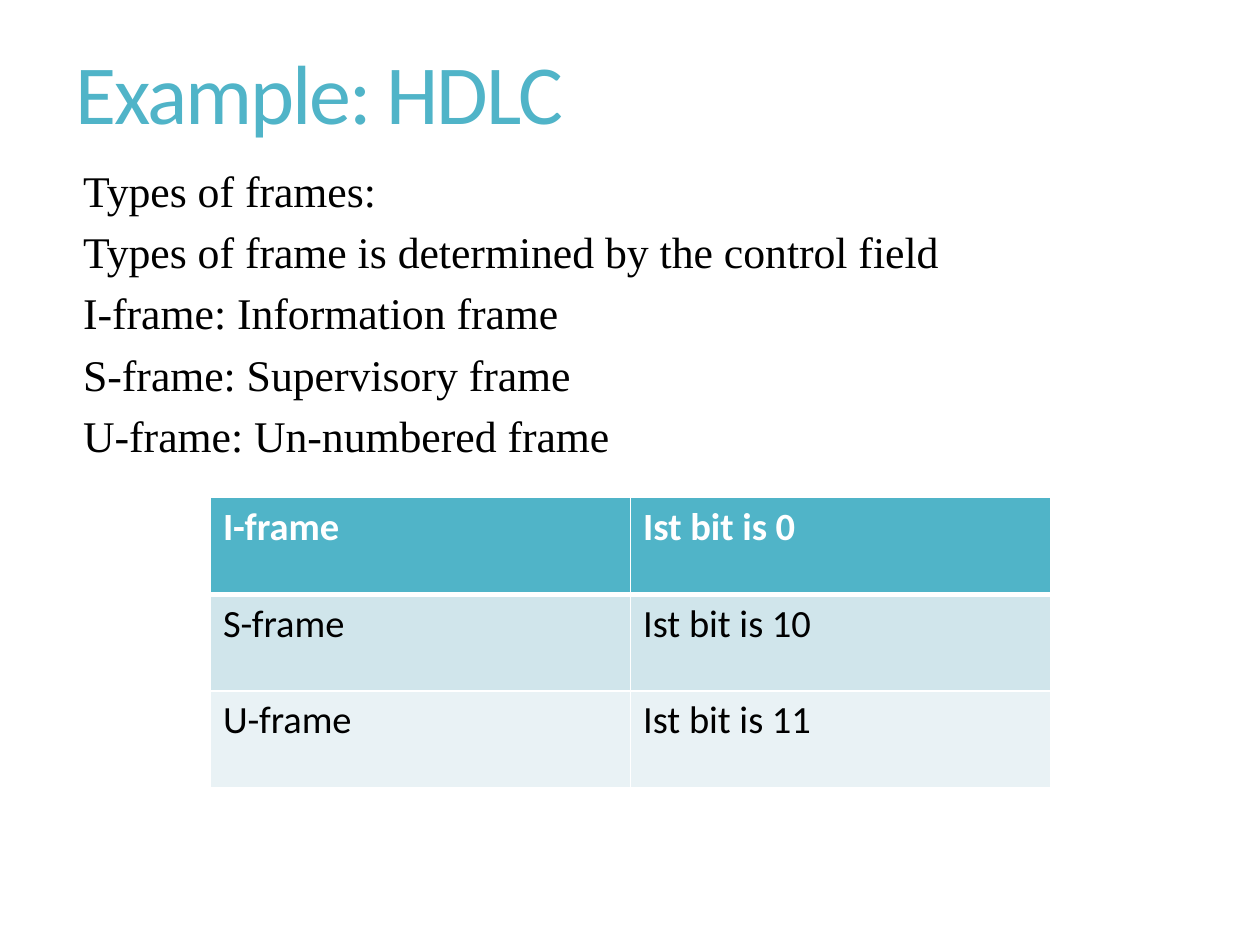
from lxml import etree
from pptx import Presentation
from pptx.dml.color import RGBColor as RGB
from pptx.enum.text import MSO_ANCHOR as ANCHOR, MSO_AUTO_SIZE as AUTO, PP_ALIGN as ALIGN
from pptx.oxml import parse_xml
from pptx.oxml.ns import nsdecls, qn
from pptx.util import Inches, Pt

COLORS = {"teal": "50B4C8", "band": "D0E5EB", "pale": "E9F2F5", "black": "000000", "white": "FFFFFF"}


def add_text(paragraph, text, font, size, color, bold=False):
    run = paragraph.add_run()
    run.text = text
    run.font.name = font
    run.font.size = Pt(size)
    run.font.bold = bold
    run.font.color.rgb = RGB.from_string(COLORS[color])
    return run


def set_borders(cell, widths):
    properties = cell._tc.get_or_add_tcPr()
    for position, (side, width) in enumerate(widths.items()):
        properties.insert(position, parse_xml(
            f'<a:{side} {nsdecls("a")} w="{Pt(width)}"><a:solidFill>'
            f'<a:srgbClr val="{COLORS["white"]}"/></a:solidFill></a:{side}>'))


prs = Presentation()
prs.slide_width, prs.slide_height = Inches(10), Inches(7.5)
slide = prs.slides.add_slide(prs.slide_layouts[1])

heading, frame_types = slide.placeholders
heading.left, heading.top = Inches(0.5), Inches(0.3)
heading.width, heading.height = Inches(9), Inches(0.95)
heading.text_frame.auto_size = AUTO.NONE
heading.text_frame.vertical_anchor = ANCHOR.MIDDLE
heading_line = heading.text_frame.paragraphs[0]
heading_line.alignment = ALIGN.LEFT
heading_line.line_spacing = 0.9
heading_run = add_text(heading_line, "Example: HDLC", "Calibri", 48, "teal")
heading_run.font._element.set("spc", "-120")

frame_types.left, frame_types.top = Inches(0.56), Inches(1.25)
frame_types.width, frame_types.height = Inches(9.44), Inches(5.92)
frame_types.text_frame.auto_size = AUTO.NONE
statements = [
    "Types of frames:",
    "Types of frame is determined by the control field",
    "I-frame: Information frame",
    "S-frame: Supervisory frame",
    "U-frame: Un-numbered frame",
]
for index, statement in enumerate(statements):
    body = frame_types.text_frame
    line = body.add_paragraph() if index else body.paragraphs[0]
    etree.SubElement(line._p.get_or_add_pPr(), qn("a:buNone"))
    add_text(line, statement, "Times New Roman", 25, "black")

frame_bits = [
    ("I-frame", "Ist bit is 0", "teal"),
    ("S-frame", "Ist bit is 10", "band"),
    ("U-frame", "Ist bit is 11", "pale"),
]
bit_table = slide.shapes.add_table(
    len(frame_bits), 2, Inches(1.67), Inches(3.95), Inches(6.67), Inches(2.3)).table
for row, (frame, bits, fill) in enumerate(frame_bits):
    header = row == 0
    for column, text in enumerate((frame, bits)):
        cell = bit_table.cell(row, column)
        cell.fill.solid()
        cell.fill.fore_color.rgb = RGB.from_string(COLORS[fill])
        set_borders(cell, {"lnL": 1, "lnR": 1, "lnT": 3 if row == 1 else 1, "lnB": 3 if header else 1})
        add_text(cell.text_frame.paragraphs[0], text, "Calibri", 22,
                 "white" if header else "black", header)

prs.save("out.pptx")
